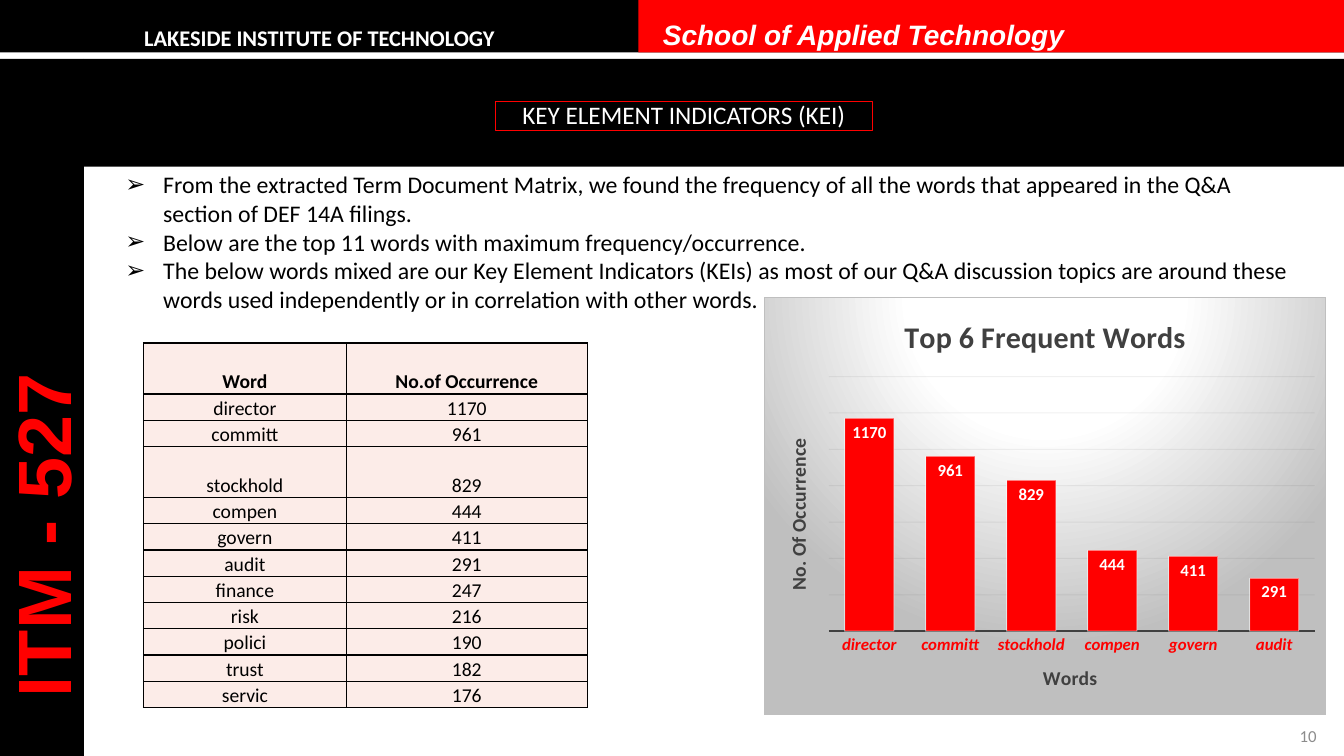
from dataclasses import dataclass
from lxml import etree
from pptx import Presentation
from pptx.chart.data import CategoryChartData as Data
from pptx.dml.color import RGBColor as RGB
from pptx.enum.chart import XL_CHART_TYPE as Kind, XL_LABEL_POSITION as Spot, XL_TICK_MARK as Tick
from pptx.enum.shapes import MSO_SHAPE as Form
from pptx.enum.text import MSO_ANCHOR as Anchor, PP_ALIGN as Align
from pptx.oxml import parse_xml
from pptx.oxml.ns import nsdecls, qn
from pptx.util import Pt


@dataclass(frozen=True)
class Theme:
    """Colours, faces and type sizes."""
    black: str = "000000"
    white: str = "FFFFFF"
    red: str = "FF0000"
    dark: str = "404040"
    gray: str = "8C8C8C"
    silver: str = "BFBFBF"
    grid: str = "0D0D0D"
    blush: str = "FCECE8"
    face: str = "Calibri"
    bold_face: str = "Arial"
    tiny: int = 10
    small: int = 12
    cell: int = 14
    school: int = 16
    body: int = 17
    head: int = 18
    large: int = 20
    chart: float = 21.5
    course: int = 54


T = Theme()
WORDS = {"director": 1170, "committ": 961, "stockhold": 829, "compen": 444,
         "govern": 411, "audit": 291, "finance": 247, "risk": 216,
         "polici": 190, "trust": 182, "servic": 176}
POINTS = [
    "From the extracted Term Document Matrix, we found the frequency of all the words "
    "that appeared in the Q&A section of DEF 14A filings.",
    "Below are the top 11 words with maximum frequency/occurrence.",
    "The below words mixed are our Key Element Indicators (KEIs) as most of our Q&A "
    "discussion topics are around these words used independently or in correlation "
    "with other words.",
]


def style(font, size=T.cell, color=T.black, face=T.face, bold=False, italic=False):
    """Format one font."""
    font.size, font.name, font.bold, font.italic = Pt(size), face, bold, italic
    font.color.rgb = RGB.from_string(color)


def write(frame, text, align=None, space=None, bullet=None, **look):
    """Put text in a frame, one paragraph a line."""
    frame.text = text
    for para in frame.paragraphs:
        para.alignment, para.line_spacing = align, space
        for run in para.runs:
            style(run.font, **look)
        if bullet:
            props = para._p.get_or_add_pPr()
            props.set("marL", str(Pt(31.5)))
            props.set("indent", str(Pt(-27)))
            etree.SubElement(props, qn("a:buFont"), typeface=T.bold_face)
            etree.SubElement(props, qn("a:buChar"), char=bullet)


def pad(part, left=0, top=0, right=0, bottom=0, anchor=Anchor.TOP):
    """Set the margins and anchor of a frame or cell."""
    part.margin_left, part.margin_top = Pt(left), Pt(top)
    part.margin_right, part.margin_bottom = Pt(right), Pt(bottom)
    part.vertical_anchor = anchor


def label(slide, box, text, inset=(0, 0, 0, 0), anchor=Anchor.TOP, turn=0, **look):
    """Add a text box."""
    shape = slide.shapes.add_textbox(*map(Pt, box))
    shape.rotation = turn
    shape.text_frame.word_wrap = True
    pad(shape.text_frame, *inset, anchor=anchor)
    write(shape.text_frame, text, **look)


def block(slide, box, fill=None, edge=None):
    """Add a plain rectangle."""
    shape = slide.shapes.add_shape(Form.RECTANGLE, *map(Pt, box))
    shape.shadow.inherit = False
    if fill:
        shape.fill.solid()
        shape.fill.fore_color.rgb = RGB.from_string(fill)
    else:
        shape.fill.background()
    if edge:
        shape.line.color.rgb = RGB.from_string(edge)
        shape.line.width = Pt(0.75)
    else:
        shape.line.fill.background()
    return shape


def banner(slide, box):
    """Top strip with the school names."""
    x, y, w, h = box
    split = 456
    block(slide, box, T.black)
    block(slide, (x + split, y, w - split, h), T.red)
    label(slide, (x + 103, y + 17.5, 340, 20), "LAKESIDE INSTITUTE OF TECHNOLOGY",
          size=T.school, color=T.white, bold=True)
    label(slide, (x + split + 17.5, y + 12.5, 340, 24), "School of Applied Technology",
          size=T.large, color=T.white, face=T.bold_face, bold=True, italic=True)


def side(slide, box):
    """Left strip with the course code set upwards."""
    x, y, w, h = box
    block(slide, box, T.black)
    long, deep = 278, 70
    mid_x, mid_y = x + 32, y + 324
    label(slide, (mid_x - long / 2, mid_y - deep / 2, long, deep), "ITM - 527",
          inset=(7.2, 3.6, 7.2, 3.6), turn=270, space=Pt(61.6), size=T.course,
          color=T.red, face=T.bold_face, bold=True)


def heading(slide, box):
    """Black band with the framed slide title."""
    x, y, w, h = box
    block(slide, box, T.black)
    frame = block(slide, (x + 294, y + 30.5, 269, 20.5), edge=T.red).text_frame
    pad(frame, 7.2, 0, 7.2, 0, Anchor.MIDDLE)
    write(frame, "KEY ELEMENT INDICATORS (KEI)", align=Align.CENTER, space=0.9,
          size=T.head, color=T.white)


def edges(cell):
    """Rule all four sides of a cell."""
    props = cell._tc.get_or_add_tcPr()
    for spot, name in enumerate(("lnL", "lnR", "lnT", "lnB")):
        props.insert(spot, parse_xml(
            f'<a:{name} {nsdecls("a")} w="{Pt(1)}"><a:solidFill>'
            f'<a:srgbClr val="{T.black}"/></a:solidFill></a:{name}>'))


def counts(slide, box):
    """Table of words and their counts."""
    rows = [("Word", "No.of Occurrence"), *WORDS.items()]
    table = slide.shapes.add_table(len(rows), 2, *map(Pt, box)).table
    table.first_row = table.horz_banding = False
    for col, part in zip(table.columns, (0.457, 0.543)):
        col.width = Pt(round(box[2] * part, 1))
    tall = 36.5
    low = (box[3] - 2 * tall) / (len(rows) - 2)
    for r, row in enumerate(rows):
        table.rows[r].height = Pt(tall if r in (0, 3) else low)
        for c, value in enumerate(row):
            cell = table.cell(r, c)
            pad(cell, 0.7, 0.7, 0.7, 0, Anchor.BOTTOM)
            cell.fill.solid()
            cell.fill.fore_color.rgb = RGB.from_string(T.blush)
            edges(cell)
            write(cell.text_frame, str(value), align=Align.CENTER, bold=r == 0)


def place(node, **spots):
    """Fix the layout of a chart title or plot area."""
    for old in node.findall(qn("c:layout")):
        node.remove(old)
    inner = '<c:layoutTarget val="inner"/>' if "w" in spots else ""
    modes = "".join(f'<c:{k}Mode val="edge"/>' for k in "xy")
    sizes = "".join(f'<c:{k} val="{v}"/>' for k, v in spots.items())
    node.insert(0 if node.find(qn("c:tx")) is None else 1, parse_xml(
        f'<c:layout {nsdecls("c")}><c:manualLayout>{inner}{modes}{sizes}'
        '</c:manualLayout></c:layout>'))


def caption(owner, text, size, x, y):
    """Title a chart or an axis."""
    title = owner.chart_title if hasattr(owner, "chart_title") else owner.axis_title
    write(title.text_frame, text, size=size, color=T.dark, bold=True)
    place(title._element, x=x, y=y)


def bars(slide, box):
    """Column chart of the six most frequent words."""
    top = list(WORDS.items())[:6]
    data = Data()
    data.categories = [word for word, _ in top]
    data.add_series("Series 1", [count for _, count in top])
    chart = slide.shapes.add_chart(Kind.COLUMN_CLUSTERED, *map(Pt, box), data).chart
    style(chart.font, size=T.tiny)
    chart.has_legend = False
    caption(chart, "Top 6 Frequent Words", T.chart, 0.24, 0.03)
    cat, val = chart.category_axis, chart.value_axis
    caption(cat, "Words", T.cell, 0.49, 0.87)
    caption(val, "No. Of Occurrence", T.cell, 0.03, 0.33)
    cat.major_tick_mark = Tick.NONE
    style(cat.tick_labels.font, size=T.small, color=T.red, bold=True, italic=True)
    val.minimum_scale, val.maximum_scale, val.major_unit = 0, 1400, 200
    val.visible = False
    plot = chart.plots[0]
    plot.gap_width, plot.vary_by_categories = 65, False
    run = plot.series[0]
    run.format.fill.solid()
    run.format.fill.fore_color.rgb = RGB.from_string(T.red)
    tags = run.data_labels
    tags.show_value, tags.position = True, Spot.INSIDE_END
    style(tags.font, size=T.small, color=T.white, bold=True)
    for part, color, width in ((cat, T.dark, 1.5), (val.major_gridlines, T.grid, 0.75),
                               (run, T.white, 0.75)):
        part.format.line.color.rgb = RGB.from_string(color)
        part.format.line.width = Pt(width)
    root = chart._chartSpace
    for query, alpha in ((".//c:majorGridlines//a:srgbClr", 5000),
                         (".//c:ser/c:spPr/a:ln//a:srgbClr", 50000)):
        for color in root.xpath(query):
            etree.SubElement(color, qn("a:alpha"), val=str(alpha))
    place(root.find(".//" + qn("c:plotArea")), x=0.115, y=0.19, w=0.865, h=0.61)
    stops = "".join(f'<a:gs pos="{pos}"><a:srgbClr val="{color}"/></a:gs>' for pos, color in
                    ((0, T.white), (39000, T.white), (100000, T.silver)))
    root.find(qn("c:chart")).addnext(parse_xml(
        f'<c:spPr {nsdecls("c", "a")}><a:gradFill><a:gsLst>{stops}</a:gsLst>'
        '<a:path path="circle"><a:fillToRect l="50000" t="-80000" r="50000" b="180000"/>'
        f'</a:path></a:gradFill><a:ln w="{Pt(0.75)}"><a:solidFill>'
        f'<a:srgbClr val="{T.silver}"/></a:solidFill></a:ln></c:spPr>'))


def main():
    """Build and save the slide."""
    deck = Presentation()
    deck.slide_width, deck.slide_height = Pt(960), Pt(540)
    slide = deck.slides.add_slide(deck.slide_layouts[6])
    label(slide, (731.5, 511, 216, 29), "10", inset=(7.2, 3.6, 7.2, 3.6),
          anchor=Anchor.MIDDLE, align=Align.RIGHT, size=T.small, color=T.gray)
    side(slide, (0, 42, 60, 498))
    banner(slide, (0, 0, 960, 37.5))
    heading(slide, (60, 42, 900, 77))
    bars(slide, (545.5, 212, 402, 299))
    counts(slide, (102.5, 245, 317, 260.5))
    label(slide, (78, 118, 864, 110), "\n".join(POINTS), inset=(7.2, 3.6, 16, 3.6),
          bullet="➢", size=T.body)
    deck.save("out.pptx")


main()
